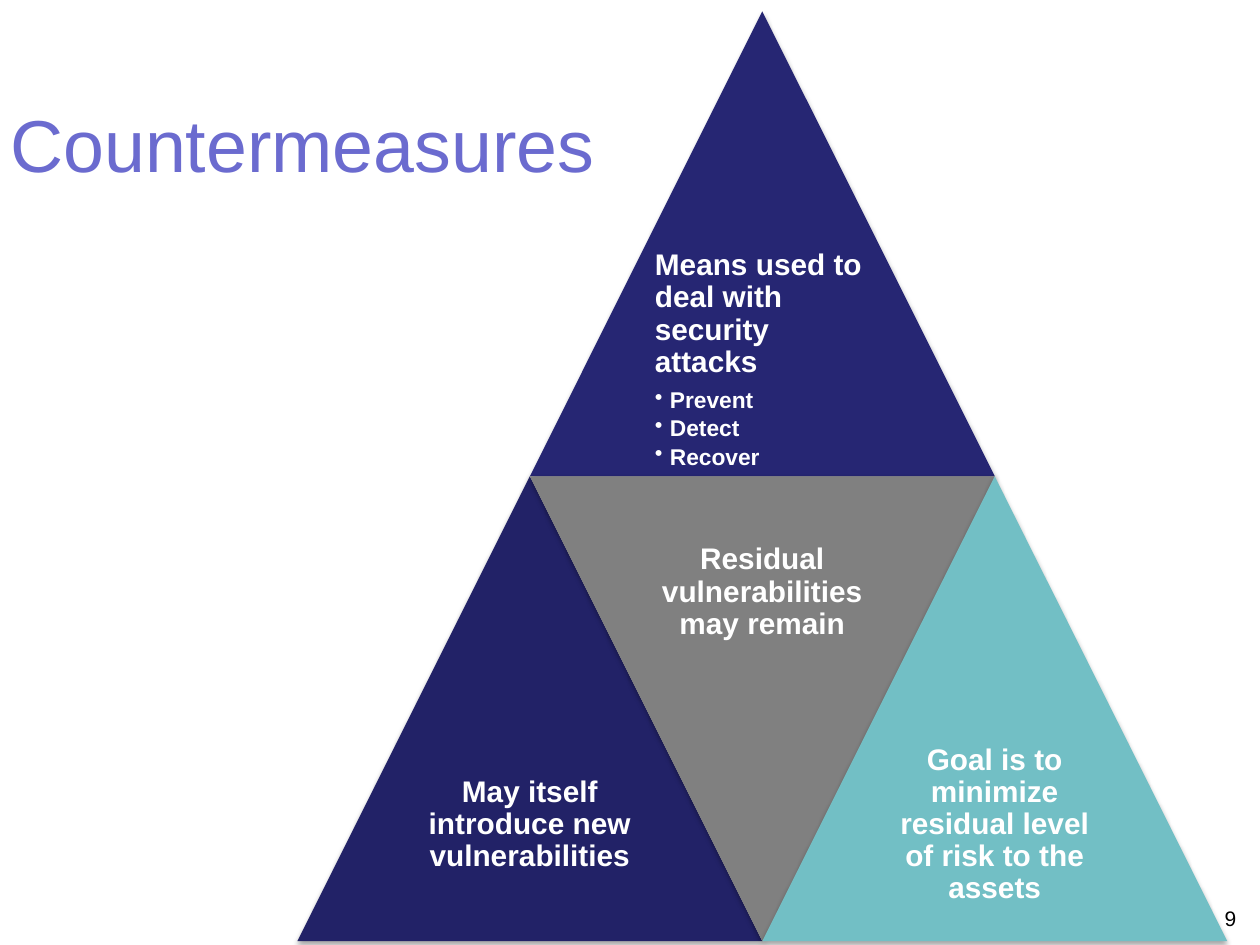
"""Builds the Countermeasures slide: a large triangle made of four smaller ones."""
from lxml.etree import SubElement
from pptx import Presentation
from pptx.dml.color import RGBColor
from pptx.enum.shapes import MSO_SHAPE as SHAPE
from pptx.enum.text import MSO_ANCHOR as ANCHOR, PP_ALIGN as ALIGN
from pptx.oxml.ns import qn
from pptx.util import Inches, Pt

SIDE = 3.69
LEFT, TOP = 2.36, 0.09


def rgb(value):
    return RGBColor.from_string(value)


def write(tf, text, size=17, color="FFFFFF", bold=True, align=ALIGN.CENTER,
          line=0.9, after=6, bullet=False, new=False):
    p = tf.add_paragraph() if new else tf.paragraphs[0]
    p.alignment, p.line_spacing, p.space_after = align, line, Pt(after)
    if bullet:
        pPr = p._p.get_or_add_pPr()
        pPr.set("marL", str(Inches(0.12)))
        pPr.set("indent", str(-Inches(0.12)))
        SubElement(pPr, qn("a:buChar"), char="•")
        p.level = 1
    r = p.add_run()
    r.text = text
    r.font.name, r.font.size, r.font.bold = "Arial", Pt(size), bold
    r.font.color.rgb = rgb(color)


class Deck:
    def __init__(self, width, height):
        self.prs = Presentation()
        self.prs.slide_width, self.prs.slide_height = Inches(width), Inches(height)
        self.s = self.prs.slides.add_slide(self.prs.slide_layouts[6])

    def box(self, x, y, w, h, shapes=None, inset=None, anchor=ANCHOR.MIDDLE):
        shapes = shapes or self.s.shapes
        tf = shapes.add_textbox(*map(Inches, (x, y, w, h))).text_frame
        tf.word_wrap, tf.vertical_anchor = True, anchor
        if inset is not None:
            tf.margin_left = tf.margin_right = Inches(inset)
            tf.margin_top = tf.margin_bottom = Inches(inset)
        return tf

    def shadow(self, sp):
        sp.shadow.inherit = False
        effects = sp._element.spPr.find(qn("a:effectLst"))
        outer = SubElement(effects, qn("a:outerShdw"), blurRad=str(Pt(3.1)),
                           dist=str(Pt(1.8)), dir="5400000", rotWithShape="0")
        color = SubElement(outer, qn("a:srgbClr"), val="000000")
        SubElement(color, qn("a:alpha"), val="35000")

    def triangle(self, group, x, y, fill, inverted=False):
        sp = group.shapes.add_shape(SHAPE.ISOSCELES_TRIANGLE,
                                    *map(Inches, (x, y, SIDE, SIDE)))
        sp.fill.solid()
        sp.fill.fore_color.rgb = rgb(fill)
        sp.line.fill.background()
        sp.rotation = 180 if inverted else 0
        self.shadow(sp)
        half = SIDE / 2
        return self.box(x + SIDE / 4, y if inverted else y + half, half, half,
                        group.shapes, inset=0.07)


def main():
    deck = Deck(10, 7.5)
    title = deck.box(-0.67, 0.44, 6.14, 1.39)
    write(title, "Countermeasures", size=42, color="6B6BCF", bold=False, line=1, after=0)

    group = deck.s.shapes.add_group_shape()
    middle, base = LEFT + SIDE / 2, TOP + SIDE
    means = deck.triangle(group, middle, TOP, "262673")
    write(means, "Means used to deal with security attacks", align=ALIGN.LEFT)
    for item in ("Prevent", "Detect", "Recover"):
        write(means, item, size=13, align=ALIGN.LEFT, after=2, bullet=True, new=True)

    for x, fill, inverted, text in (
        (LEFT, "222267", False, "May itself introduce new vulnerabilities"),
        (middle, "808080", True, "Residual vulnerabilities may remain"),
        (LEFT + SIDE, "72BFC5", False,
         "Goal is to minimize residual level of risk to the assets"),
    ):
        write(deck.triangle(group, x, base, fill, inverted), text)

    number = deck.box(7.58, 7.14, 2.33, 0.27, anchor=ANCHOR.TOP)
    write(number, "9", size=12, color="000000", bold=False, align=ALIGN.RIGHT,
          line=1, after=0)
    deck.prs.save("out.pptx")


if __name__ == "__main__":
    main()
